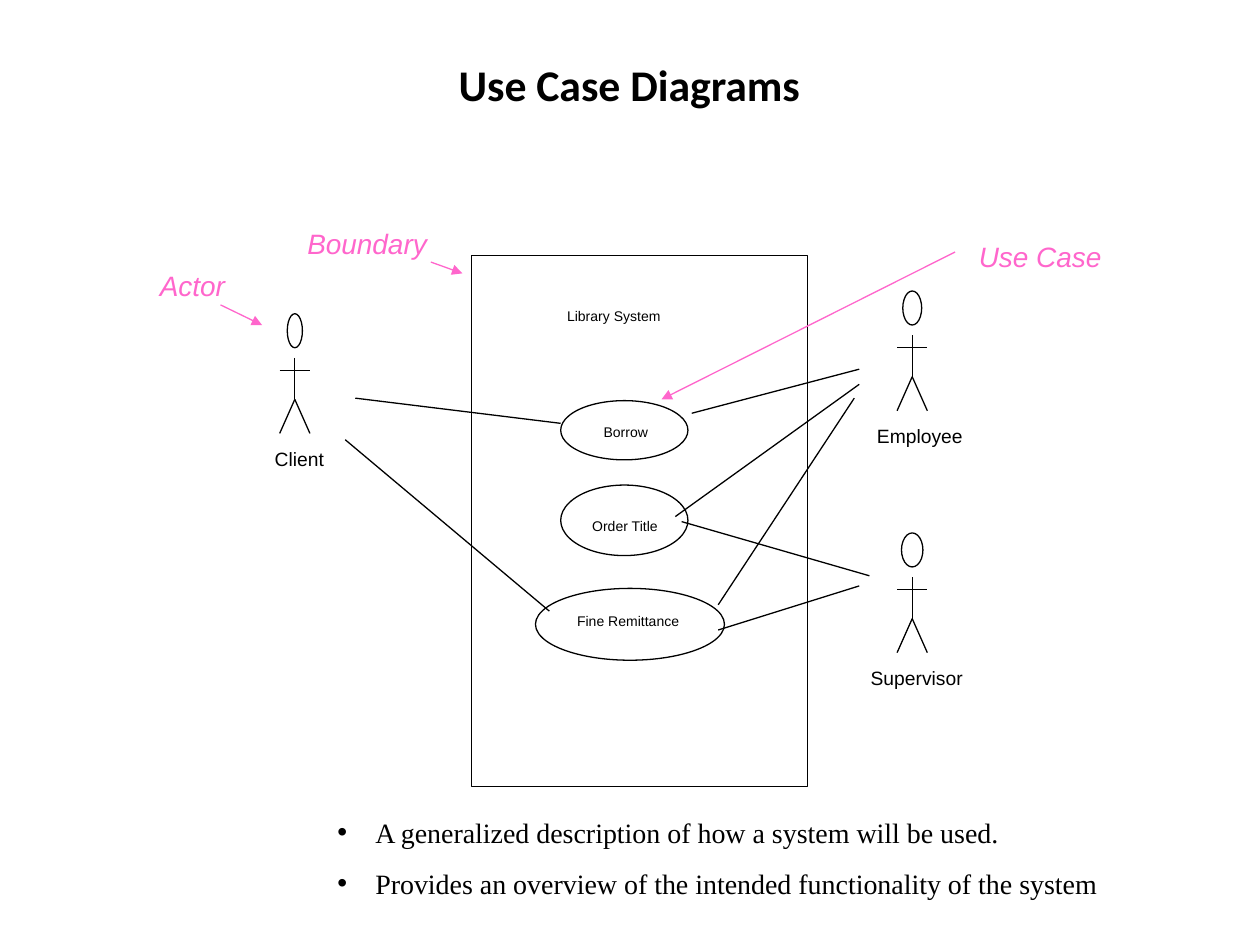
from lxml import etree
from pptx import Presentation
from pptx.dml.color import RGBColor
from pptx.enum import shapes, text
from pptx.oxml.ns import qn
from pptx.util import Inches, Pt

BLACK = RGBColor(0, 0, 0)
WHITE = RGBColor(255, 255, 255)
PINK = RGBColor(0xFF, 0x66, 0xCC)
RECT = shapes.MSO_SHAPE.RECTANGLE
OVAL = shapes.MSO_SHAPE.OVAL


def write(slide, lines, box, size=8, font="Arial", color=BLACK, bold=False,
          italic=False, align=text.PP_ALIGN.LEFT, anchor=text.MSO_ANCHOR.TOP,
          pad=(0, 0), wrap=False, bullet=False, gap=0):
    frame = slide.shapes.add_textbox(*map(Inches, box)).text_frame
    frame.word_wrap = wrap
    frame.vertical_anchor = anchor
    frame.margin_left = frame.margin_right = Inches(pad[0])
    frame.margin_top = frame.margin_bottom = Inches(pad[1])
    frame.text = lines
    for i, para in enumerate(frame.paragraphs):
        if bullet:
            props = para._p.get_or_add_pPr()
            props.set("marL", str(Inches(0.3)))
            props.set("indent", str(-Inches(0.3)))
            etree.SubElement(props, qn("a:buFont")).set("typeface", "Arial")
            etree.SubElement(props, qn("a:buChar")).set("char", "•")
        para.alignment = align
        if i:
            para.space_before = Pt(gap)
        for run in para.runs:
            run.font.name = font
            run.font.size = Pt(size)
            run.font.bold = bold
            run.font.italic = italic
            run.font.color.rgb = color
    if not wrap:
        frame.auto_size = text.MSO_AUTO_SIZE.SHAPE_TO_FIT_TEXT


def shape(slide, kind, box):
    item = slide.shapes.add_shape(kind, *map(Inches, box))
    item.shadow.inherit = False
    item.fill.solid()
    item.fill.fore_color.rgb = WHITE
    item.line.color.rgb = BLACK
    item.line.width = Pt(0.75)


def line(slide, x1, y1, x2, y2, color=BLACK, arrow=False):
    item = slide.shapes.add_connector(
        shapes.MSO_CONNECTOR.STRAIGHT, *map(Inches, (x1, y1, x2, y2)))
    item.line.color.rgb = color
    item.line.width = Pt(0.75)
    if arrow:
        tail = etree.SubElement(item.line._get_or_add_ln(), qn("a:tailEnd"))
        tail.set("type", "triangle")
    etree.SubElement(item._element.spPr, qn("a:effectLst"))


def actor(slide, name, x, y, head, label):
    """Stick figure whose body starts at (x, y)."""
    hip, foot = y + 0.33, y + 0.6
    line(slide, x, y, x, hip)
    line(slide, x - 0.12, y + 0.1, x + 0.12, y + 0.1)
    for side in (-0.12, 0.12):
        line(slide, x, hip, x + side, foot)
    shape(slide, OVAL, (x - head / 2, y - 0.35, head, 0.27))
    left, width = label
    write(slide, name, (left, y + 0.71, width, 0.18), size=11)


def note(slide, name, box, arrow):
    """Pink remark with an arrow to the part it explains."""
    write(slide, name, box, size=16, color=PINK, italic=True, pad=(0.1, 0.05))
    line(slide, *arrow, color=PINK, arrow=True)


def main():
    deck = Presentation()
    deck.slide_width, deck.slide_height = Inches(10), Inches(7.5)
    slide = deck.slides.add_slide(deck.slide_layouts[6])

    # Title
    write(slide, "Use Case Diagrams", (0.73, 0.33, 8.53, 0.67), size=25,
          font="Calibri", bold=True, align=text.PP_ALIGN.CENTER,
          anchor=text.MSO_ANCHOR.MIDDLE, wrap=True)

    # System boundary
    shape(slide, RECT, (3.74, 2.03, 2.67, 4.21))
    write(slide, "Library System", (4.5, 2.44, 0.99, 0.13), wrap=True)

    # Use cases
    for name, oval, label in (
            ("Borrow", (4.45, 3.18, 1.01, 0.47), (4.79, 3.36, 0.38, 0.13)),
            ("Order Title", (4.45, 3.85, 1.01, 0.56), (4.7, 4.11, 0.56, 0.13)),
            ("Fine Remittance", (4.25, 4.67, 1.5, 0.57), (4.58, 4.86, 0.84, 0.13))):
        shape(slide, OVAL, oval)
        write(slide, name, label)

    # Links between actors and use cases
    for ends in ((2.82, 3.16, 4.45, 3.36), (2.74, 3.49, 4.36, 4.85),
                 (6.82, 3.05, 5.36, 4.1), (6.78, 3.16, 5.7, 4.8),
                 (5.49, 3.28, 6.82, 2.93), (5.41, 4.14, 6.9, 4.57),
                 (5.7, 5, 6.82, 4.65)):
        line(slide, *ends)

    # Actors
    actor(slide, "Client", 2.34, 2.84, 0.12, (2.18, 0.42))
    actor(slide, "Employee", 7.24, 2.66, 0.15, (6.96, 0.71))
    actor(slide, "Supervisor", 7.24, 4.58, 0.17, (6.91, 0.76))

    # Summary
    write(slide, "A generalized description of how a system will be used.\n"
          "Provides an overview of the intended functionality of the system",
          (2.58, 6.42, 6.75, 0.9), size=16, font="Times New Roman",
          pad=(0.1, 0.05), wrap=True, bullet=True, gap=10)

    # Remarks
    note(slide, "Boundary", (2.34, 1.75, 1.15, 0.37), (3.42, 2.08, 3.67, 2.17))
    note(slide, "Actor", (1.17, 2.08, 0.72, 0.37), (1.75, 2.42, 2.08, 2.58))
    note(slide, "Use Case", (7.67, 1.85, 1.17, 0.37), (7.58, 2, 5.25, 3.17))

    deck.save("out.pptx")


if __name__ == "__main__":
    main()
